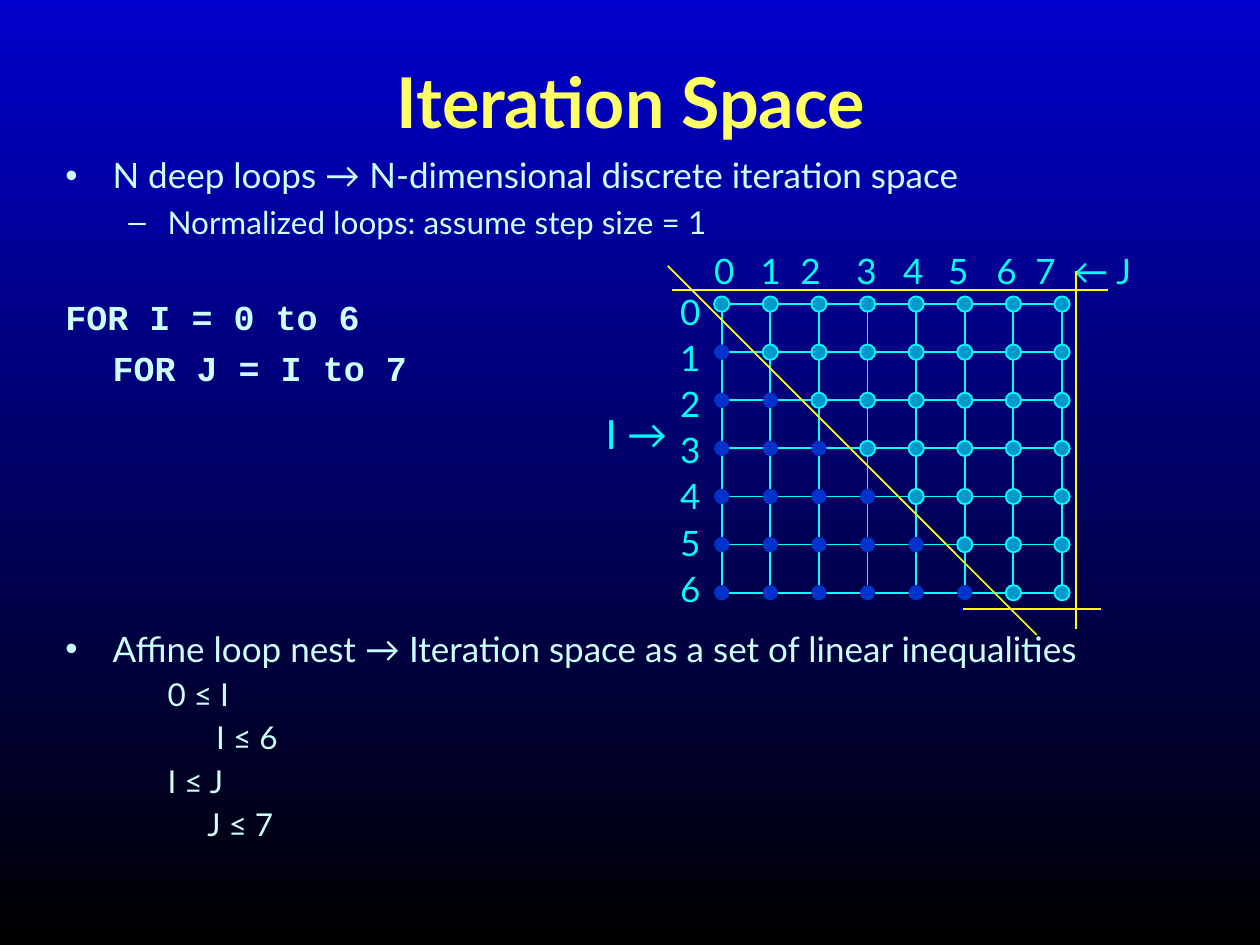
from dataclasses import dataclass
from itertools import product

from lxml.etree import SubElement
from pptx import Presentation
from pptx.dml.color import RGBColor
from pptx.enum.shapes import MSO_CONNECTOR as Connector
from pptx.enum.shapes import MSO_SHAPE as Shape
from pptx.enum.text import MSO_ANCHOR as Anchor
from pptx.enum.text import PP_ALIGN as Align
from pptx.oxml.ns import qn
from pptx.util import Cm, Pt


@dataclass(frozen=True)
class Theme:
    """Colours, fonts and type sizes of the slide."""
    top: str = "0000CC"
    bottom: str = "000000"
    title: str = "FFFF66"
    body: str = "CCFFFF"
    axis: str = "00FFFF"
    inside: str = "0099CC"
    outside: str = "0033CC"
    bound: str = "FFFF00"
    sans: str = "Lato"
    mono: str = "Courier New"
    title_size: int = 40
    large: int = 20
    small: int = 18
    arrow_size: int = 23


THEME = Theme()
ROWS, COLUMNS = 7, 8
GRID_LEFT, GRID_TOP = 14.55, 6.13
STEP_X, STEP_Y = 0.98, 0.97
DOT = 0.31

# text, bullet, left margin, first-line indent, space before, size, monospaced
BODY = [
    ("N deep loops → N-dimensional discrete iteration space",
     "•", 0.95, -0.95, 0, THEME.large, False),
    ("Normalized loops: assume step size = 1",
     "–", 2.06, -0.79, 3.6, THEME.small, False),
    ("FOR I = 0 to 6", None, 0, 0, 31.6, THEME.large, True),
    ("FOR J = I to 7", None, 0.95, 0, 5.3, THEME.large, True),
    ("Affine loop nest → Iteration space as a set of linear inequalities",
     "•", 0.95, -0.95, 136.4, THEME.large, False),
    ("0 ≤ I", None, 2.06, 0, 3.1, THEME.small, False),
    ("I ≤ 6", None, 3.04, 0, 3.1, THEME.small, False),
    ("I ≤ J", None, 2.06, 0, 3.1, THEME.small, False),
    ("J ≤ 7", None, 2.86, 0, 3.1, THEME.small, False),
]
COLUMN_TABS = [0.94, 1.88, 2.68, 3.81, 4.75, 5.66, 6.63, 7.42, 8.56]
BOUNDS = [
    (13.46, 5.36, 20.9, 12.8),
    (13.54, 5.84, 22.33, 5.84),
    (19.41, 12.27, 22.2, 12.27),
    (21.69, 5.46, 21.69, 12.67),
]


def rgb(value):
    """Return a colour from its hexadecimal value."""
    return RGBColor.from_string(value)


def set_font(paragraph, size, color, name=THEME.sans, bold=False):
    """Format the whole paragraph."""
    font = paragraph.font
    font.size, font.name, font.bold = Pt(size), name, bold
    font.color.rgb = rgb(color)


def set_background(slide):
    """Fill the slide with a gradient running downwards."""
    fill = slide.background.fill
    fill.gradient()
    fill.gradient_angle = 270
    for stop, color in zip(fill.gradient_stops, (THEME.top, THEME.bottom)):
        stop.color.rgb = rgb(color)


def add_title(slide, text):
    """Place and format the title placeholder."""
    title = slide.shapes.title
    title.left, title.top = Cm(1.07), Cm(0.43)
    title.width, title.height = Cm(23.29), Cm(3.18)
    title.text_frame.text = text
    title.text_frame.vertical_anchor = Anchor.MIDDLE
    paragraph = title.text_frame.paragraphs[0]
    paragraph.alignment = Align.CENTER
    set_font(paragraph, THEME.title_size, THEME.title, bold=True)


def add_text_box(slide, left, top, width, height, lines, wrap=False):
    """Add a text box and return its paragraphs, one for each line."""
    box = slide.shapes.add_textbox(Cm(left), Cm(top), Cm(width), Cm(height))
    frame = box.text_frame
    frame.word_wrap = wrap
    frame.text = "\n".join(lines)
    return frame.paragraphs


def set_indent(paragraph, margin, indent, bullet):
    """Set the left margin, first-line indent and bullet character."""
    properties = paragraph._p.get_or_add_pPr()
    properties.set("marL", str(Cm(margin)))
    properties.set("indent", str(Cm(indent)))
    if bullet:
        SubElement(properties, qn("a:buFont"), typeface="Arial")
        SubElement(properties, qn("a:buChar"), char=bullet)
    else:
        SubElement(properties, qn("a:buNone"))


def add_body(slide):
    """Add the bullets, the loop code and the inequalities."""
    paragraphs = add_text_box(slide, 1.07, 3.07, 23.93, 15.34,
                              [row[0] for row in BODY], wrap=True)
    for paragraph, row in zip(paragraphs, BODY):
        _, bullet, margin, indent, before, size, is_code = row
        set_indent(paragraph, margin, indent, bullet)
        paragraph.space_before = Pt(before)
        name = THEME.mono if is_code else THEME.sans
        set_font(paragraph, size, THEME.body, name, is_code)
    paragraphs[0].line_spacing = 0.9


def add_axis_labels(slide):
    """Label the columns, the rows and the row axis."""
    columns = "".join(f"\t{label}" for label in [*range(COLUMNS), "← J"])
    header, = add_text_box(slide, 13.41, 4.9, 10.01, 1.09, [columns])
    tabs = SubElement(header._p.get_or_add_pPr(), qn("a:tabLst"))
    for position in COLUMN_TABS:
        SubElement(tabs, qn("a:tab"), pos=str(Cm(position)), algn="ctr")
    set_font(header, THEME.large, THEME.axis)

    for label in add_text_box(slide, 13.46, 5.64, 0.89, 6.76,
                              [str(row) for row in range(ROWS)]):
        label.line_spacing = 1.1
        set_font(label, THEME.large, THEME.axis)

    axis, = add_text_box(slide, 11.96, 8.13, 1.85, 1.22, ["I →"])
    set_font(axis, THEME.arrow_size, THEME.axis)


def add_preset(shapes, kind, left, top, width, height, fill=None, line=None):
    """Add a preset shape with an optional fill and outline."""
    shape = shapes.add_shape(kind, Cm(left), Cm(top), Cm(width), Cm(height))
    shape.shadow.inherit = False
    if fill:
        shape.fill.solid()
        shape.fill.fore_color.rgb = rgb(fill)
    else:
        shape.fill.background()
    if line:
        shape.line.color.rgb = rgb(line)
        shape.line.width = Pt(1)
    else:
        shape.line.fill.background()


def add_grid(slide):
    """Add the grouped cells of the iteration space."""
    cells = slide.shapes.add_group_shape().shapes
    for row, column in product(range(ROWS - 1), range(COLUMNS - 1)):
        add_preset(cells, Shape.RECTANGLE, GRID_LEFT + column * STEP_X,
                   GRID_TOP + row * STEP_Y, STEP_X, STEP_Y, line=THEME.axis)


def add_dots(slide):
    """Mark each grid point; those with J >= I are in the space."""
    for row, column in product(range(ROWS), range(COLUMNS)):
        is_inside = column >= row
        add_preset(slide.shapes, Shape.OVAL,
                   GRID_LEFT + column * STEP_X - DOT / 2,
                   GRID_TOP + row * STEP_Y - DOT / 2, DOT, DOT,
                   fill=THEME.inside if is_inside else THEME.outside,
                   line=THEME.axis if is_inside else None)


def add_bound(slide, *ends):
    """Add a line that bounds the iteration space."""
    line = slide.shapes.add_connector(Connector.STRAIGHT, *map(Cm, ends))
    line.line.color.rgb = rgb(THEME.bound)
    line.line.width = Pt(1)
    SubElement(line._element.spPr, qn("a:effectLst"))


def main():
    """Build and save the slide."""
    presentation = Presentation()
    presentation.slide_width, presentation.slide_height = Cm(25.4), Cm(19.05)
    slide = presentation.slides.add_slide(presentation.slide_layouts[5])
    set_background(slide)
    add_title(slide, "Iteration Space")
    add_body(slide)
    add_grid(slide)
    add_axis_labels(slide)
    add_dots(slide)
    for ends in BOUNDS:
        add_bound(slide, *ends)
    presentation.save("out.pptx")


main()
